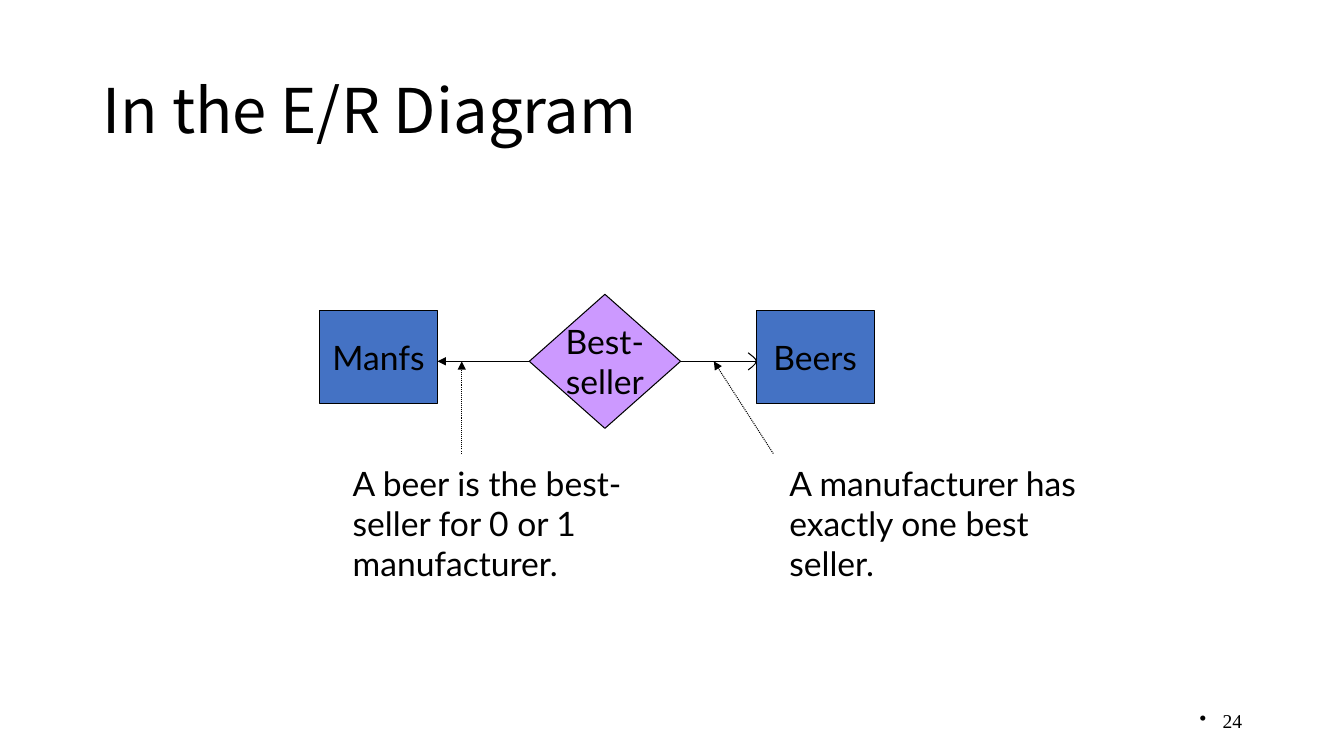
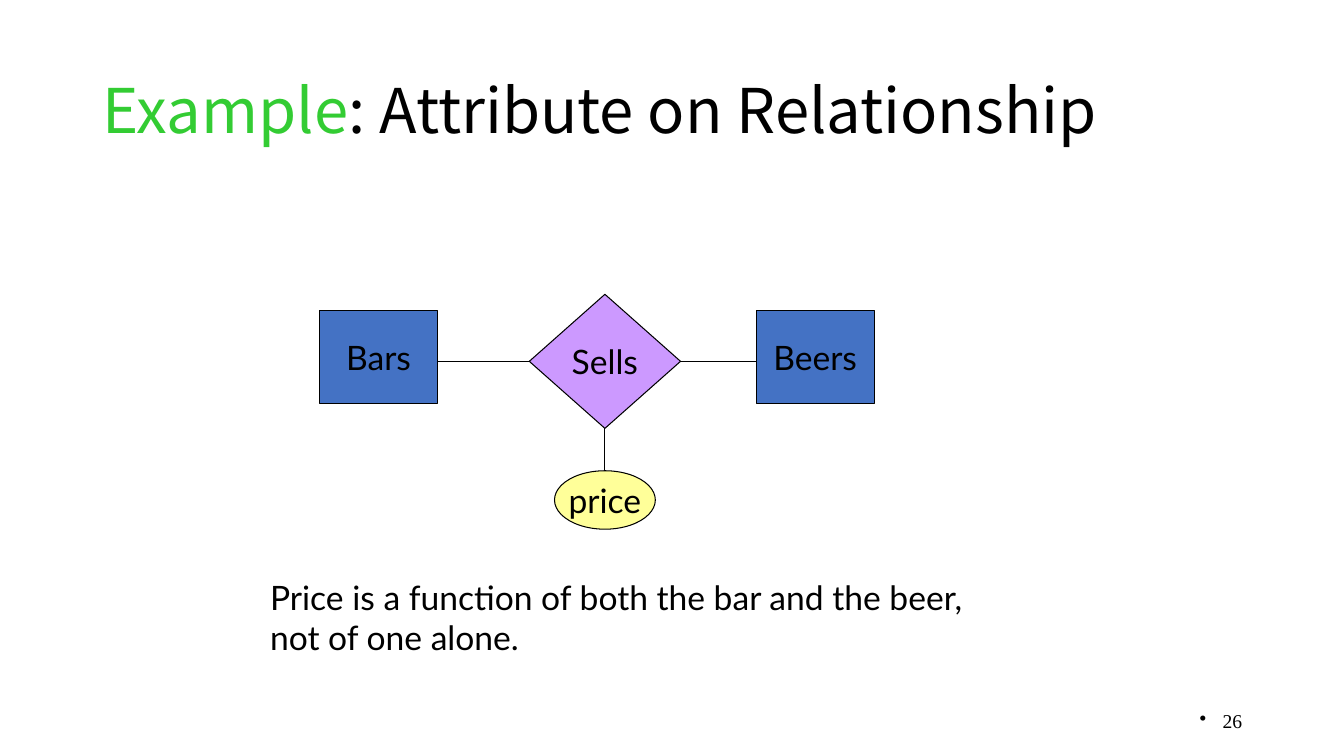
import pptx
import pptx.dml.color
import pptx.enum.dml
import pptx.enum.shapes
import pptx.enum.text
import pptx.oxml.ns
import pptx.util
from lxml import etree

Inches = pptx.util.Inches
Pt = pptx.util.Pt
RGBColor = pptx.dml.color.RGBColor
SHAPE = pptx.enum.shapes.MSO_SHAPE
ANCHOR = pptx.enum.text.MSO_ANCHOR
ALIGN = pptx.enum.text.PP_ALIGN
qn = pptx.oxml.ns.qn

BLACK = RGBColor(0x00, 0x00, 0x00)
BLUE = RGBColor(0x44, 0x72, 0xC4)
PURPLE = RGBColor(0xCC, 0x99, 0xFF)
YELLOW = RGBColor(0xFF, 0xFF, 0x99)
GREEN = RGBColor(0x33, 0xCC, 0x33)

BODY_FONT = "Lato"
TITLE_FONT = "Noto Sans CJK SC"
NUMBER_FONT = "Times New Roman"
LINE_WIDTH = Pt(0.75)

# Diagram geometry, in inches
LEFT_ENTITY, RIGHT_ENTITY, ENTITY_TOP = 3.17, 7.5, 3.08
ENTITY_WIDTH, ENTITY_HEIGHT = 1.17, 0.92
DIAMOND_TOP, DIAMOND_HEIGHT = 2.92, 1.33
AXIS = DIAMOND_TOP + DIAMOND_HEIGHT / 2


def write_lines(shape, lines, alignment=ALIGN.LEFT, font=BODY_FONT, size=24):
    frame = shape.text_frame
    frame.text = "\n".join(lines)
    for paragraph in frame.paragraphs:
        paragraph.alignment = alignment
        paragraph.font.name = font
        paragraph.font.size = Pt(size)
        paragraph.font.color.rgb = BLACK


def add_line(slide, start, end, arrow=False, dotted=False):
    points = [Inches(value) for value in (*start, *end)]
    connector = slide.shapes.add_connector(pptx.enum.shapes.MSO_CONNECTOR.STRAIGHT, *points)
    connector.line.color.rgb = BLACK
    connector.line.width = LINE_WIDTH
    if dotted:
        connector.line.dash_style = pptx.enum.dml.MSO_LINE.ROUND_DOT
    if arrow:
        outline = connector.line._get_or_add_ln()
        etree.SubElement(outline, qn("a:tailEnd"), type="triangle")
    etree.SubElement(connector._element.spPr, qn("a:effectLst"))
    return connector


presentation = pptx.Presentation()
presentation.slide_width = Inches(13.33)
presentation.slide_height = Inches(7.5)

DIAGRAMS = [
    {
        "number": "24",
        "title": [("In the E/R Diagram", BLACK)],
        "entity": "Manfs",
        "relationship": ["Best-", "seller"],
        "arrow": True,
        "notes": [
            (7.73, 4.54, 3.12, 1.31, ["A manufacturer has", "exactly one best", "seller."]),
            (3.4, 4.54, 2.93, 1.31, ["A beer is the best-", "seller for 0 or 1", "manufacturer."]),
        ],
    },
    {
        "number": "26",
        "title": [("Example", GREEN), (": Attribute on Relationship", BLACK)],
        "entity": "Bars",
        "relationship": ["Sells"],
        "arrow": False,
        "notes": [
            (2.58, 5.67, 7.52, 0.91,
             ["Price is a function of both the bar and the beer,", "not of one alone."]),
        ],
    },
]

slides = []
diamonds = []
for diagram in DIAGRAMS:
    slide = presentation.slides.add_slide(presentation.slide_layouts[6])
    slides.append(slide)

    # Slide number with its bullet
    number = slide.shapes.add_textbox(Inches(9.42), Inches(6.95), Inches(3), Inches(0.4))
    number.text_frame.word_wrap = True
    number.text_frame.vertical_anchor = ANCHOR.MIDDLE
    write_lines(number, [diagram["number"]], ALIGN.RIGHT, NUMBER_FONT, 14)
    properties = number.text_frame.paragraphs[0]._p.get_or_add_pPr()
    properties.set("marL", str(Inches(0.23)))
    properties.set("indent", str(-Inches(0.23)))
    bullet = etree.Element(qn("a:buChar"), char="•")
    properties.insert(0, bullet)

    # Title
    title = slide.shapes.add_textbox(Inches(0.92), Inches(0.4), Inches(11.5), Inches(1.45))
    title.text_frame.word_wrap = True
    title.text_frame.vertical_anchor = ANCHOR.MIDDLE
    paragraph = title.text_frame.paragraphs[0]
    paragraph.line_spacing = 0.9
    paragraph.font.name = TITLE_FONT
    paragraph.font.size = Pt(44)
    for text, color in diagram["title"]:
        run = paragraph.add_run()
        run.text = text
        run.font.name = TITLE_FONT
        run.font.size = Pt(44)
        run.font.color.rgb = color

    # Entities, relationship and attribute
    nodes = [
        (SHAPE.RECTANGLE, LEFT_ENTITY, ENTITY_TOP, ENTITY_WIDTH, ENTITY_HEIGHT,
         BLUE, [diagram["entity"]]),
        (SHAPE.RECTANGLE, RIGHT_ENTITY, ENTITY_TOP, ENTITY_WIDTH, ENTITY_HEIGHT,
         BLUE, ["Beers"]),
        (SHAPE.DIAMOND, 5.25, DIAMOND_TOP, 1.5, DIAMOND_HEIGHT,
         PURPLE, diagram["relationship"]),
    ]
    if diagram["entity"] == "Bars":
        nodes.append((SHAPE.OVAL, 5.5, 4.67, 1, 0.58, YELLOW, ["price"]))
    for kind, left, top, width, height, color, lines in nodes:
        shape = slide.shapes.add_shape(
            kind, Inches(left), Inches(top), Inches(width), Inches(height))
        shape.shadow.inherit = False
        shape.fill.solid()
        shape.fill.fore_color.rgb = color
        shape.line.color.rgb = BLACK
        shape.line.width = LINE_WIDTH
        shape.text_frame.word_wrap = False
        shape.text_frame.vertical_anchor = ANCHOR.MIDDLE
        write_lines(shape, lines, ALIGN.CENTER)
        if kind == SHAPE.DIAMOND:
            diamond = shape
        elif kind == SHAPE.OVAL:
            attribute = shape

    # Lines from the relationship to both entities
    right_line = add_line(slide, (6.75, AXIS), (RIGHT_ENTITY, AXIS))
    right_line.begin_connect(diamond, 3)
    left_line = add_line(slide, (5.25, AXIS), (LEFT_ENTITY + ENTITY_WIDTH, AXIS),
                         arrow=diagram["arrow"])
    left_line.begin_connect(diamond, 1)
    diamonds.append(diamond)

    # Notes
    for left, top, width, height, lines in diagram["notes"]:
        note = slide.shapes.add_textbox(
            Inches(left), Inches(top), Inches(width), Inches(height))
        note.text_frame.word_wrap = True
        note.text_frame.auto_size = pptx.enum.text.MSO_AUTO_SIZE.SHAPE_TO_FIT_TEXT
        write_lines(note, lines)

# Rounded arrowhead for "exactly one"
curve = [(7.42, 3.5), (7.47, 3.54), (7.49, 3.56), (7.5, 3.58),
         (7.49, 3.61), (7.46, 3.64), (7.42, 3.67)]
curve_points = [(Inches(x), Inches(y)) for x, y in curve]
builder = slides[0].shapes.build_freeform(*curve_points[0])
builder.add_line_segments(curve_points[1:], close=False)
arrowhead = builder.convert_to_shape()
arrowhead.shadow.inherit = False
arrowhead.fill.background()
arrowhead.line.color.rgb = BLACK
arrowhead.line.width = LINE_WIDTH

# Dotted pointers from the notes to the lines
for start, end in [((7.67, 4.5), (7.08, AXIS)), ((4.58, 4.5), (4.58, AXIS))]:
    add_line(slides[0], start, end, arrow=True, dotted=True)

# Line from the relationship to its attribute
attribute_line = add_line(slides[1], (6, 4.25), (6, 4.67))
attribute_line.begin_connect(diamonds[1], 2)
attribute_line.end_connect(attribute, 0)

presentation.save("out.pptx")
